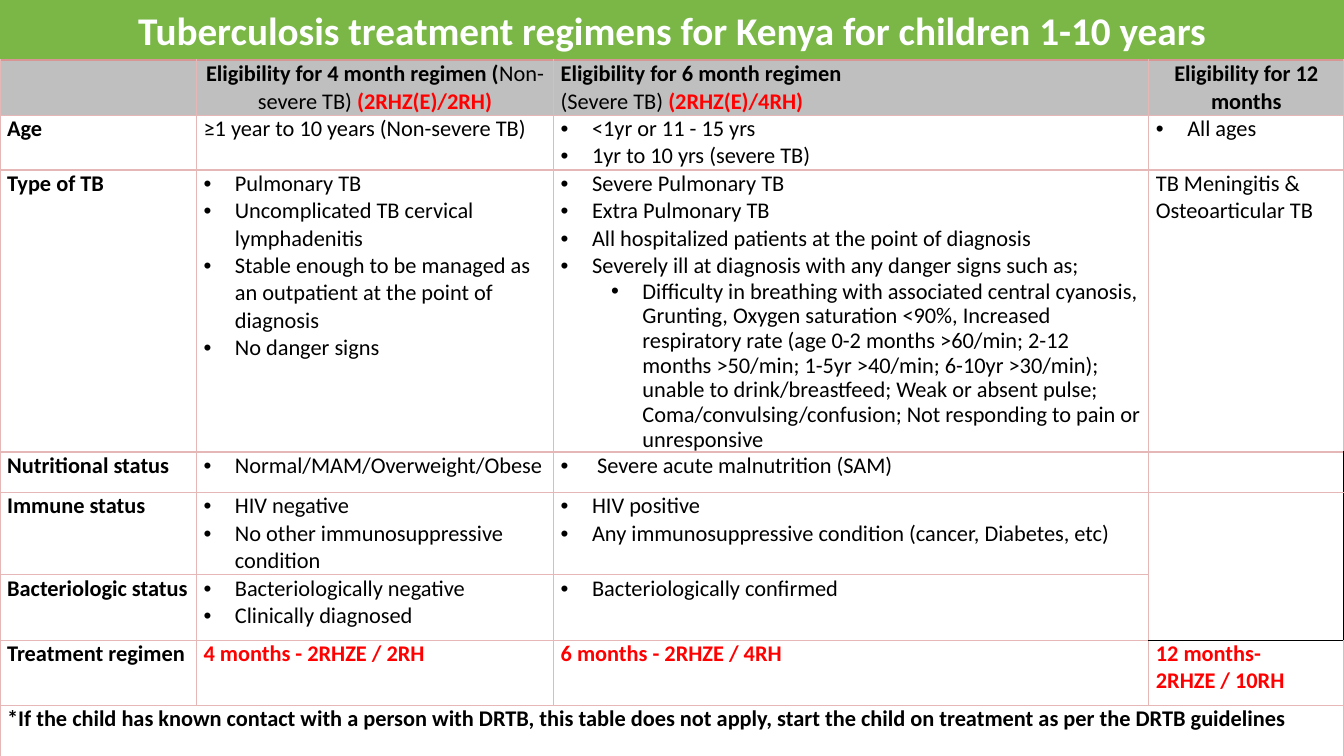
from dataclasses import dataclass

from lxml.etree import SubElement
from pptx import Presentation
from pptx.dml.color import RGBColor
from pptx.enum.text import MSO_ANCHOR as Anchor, PP_ALIGN as Align
from pptx.oxml.ns import qn
from pptx.util import Cm, Pt

FONT = "Calibri"
BLACK = RGBColor(0x00, 0x00, 0x00)
WHITE = RGBColor(0xFF, 0xFF, 0xFF)
RED = RGBColor(0xFF, 0x00, 0x00)
GREEN = RGBColor(0x7A, 0xB7, 0x46)
GREY = RGBColor(0xBF, 0xBF, 0xBF)
PINK = RGBColor(0xE5, 0xB8, 0xB7)
ROSE = RGBColor(0xD9, 0x95, 0x94)

SLIDE_W, SLIDE_H = Cm(33.87), Cm(19.05)
TITLE_H = Cm(1.52)
COL_WIDTHS = [4.95, 9, 15, 4.92]
ROW_HEIGHTS = [1.35, 1.35, 6.86, 1.02, 2.01, 1.65, 1.65, 1.65]
LAST_COL, NOTE_ROW = 3, 7
MERGED_ROWS = (4, 5)


@dataclass
class Run:
    text: str
    bold: bool = False
    color: RGBColor = BLACK


@dataclass
class Para:
    runs: list[Run]
    align: Align = Align.LEFT
    bullet_level: int | None = None


@dataclass
class Border:
    color: RGBColor = PINK
    width: float = 1


def plain(text: str) -> list[Para]:
    return [Para([Run(text)])]


def bold(text: str, color: RGBColor = BLACK) -> list[Para]:
    return [Para([Run(text, True, color)])]


def bullets(*texts: str, level: int = 0) -> list[Para]:
    return [Para([Run(text)], bullet_level=level) for text in texts]


ROWS: list[list[list[Para]]] = [
    [
        [],
        [Para([Run("Eligibility for 4 month regimen (", True), Run("Non-severe TB) "),
               Run("(2RHZ(E)/2RH)", True, RED)], Align.CENTER)],
        bold("Eligibility for 6 month regimen")
        + [Para([Run("(Severe TB) "), Run("(2RHZ(E)/4RH)", True, RED)])],
        [Para([Run("Eligibility for 12 months", True)], Align.CENTER)],
    ],
    [
        bold("Age"),
        plain("≥1 year to 10 years (Non-severe TB)"),
        bullets("<1yr or 11 - 15 yrs", "1yr to 10 yrs (severe TB)"),
        bullets("All ages"),
    ],
    [
        bold("Type of TB"),
        bullets("Pulmonary TB", "Uncomplicated TB cervical lymphadenitis",
                "Stable enough to be managed as an outpatient at the point of diagnosis",
                "No danger signs"),
        bullets("Severe Pulmonary TB", "Extra Pulmonary TB",
                "All hospitalized patients at the point of diagnosis",
                "Severely ill at diagnosis with any danger signs such as;")
        + bullets("Difficulty in breathing with associated central cyanosis, Grunting, "
                  "Oxygen saturation <90%, Increased respiratory rate (age 0-2 months "
                  ">60/min; 2-12 months >50/min; 1-5yr >40/min; 6-10yr >30/min); unable "
                  "to drink/breastfeed; Weak or absent pulse; Coma/convulsing/confusion; "
                  "Not responding to pain or unresponsive", level=1),
        plain("TB Meningitis & Osteoarticular TB"),
    ],
    [
        bold("Nutritional status"),
        bullets("Normal/MAM/Overweight/Obese"),
        bullets(" Severe acute malnutrition (SAM)"),
        [],
    ],
    [
        bold("Immune status"),
        bullets("HIV negative", "No other immunosuppressive condition"),
        bullets("HIV positive", "Any immunosuppressive condition (cancer, Diabetes, etc)"),
        [],
    ],
    [
        bold("Bacteriologic status"),
        bullets("Bacteriologically negative", "Clinically diagnosed"),
        bullets("Bacteriologically confirmed"),
        [],
    ],
    [
        bold("Treatment regimen"),
        bold("4 months - 2RHZE / 2RH", RED),
        bold("6 months - 2RHZE / 4RH", RED),
        bold("12 months- 2RHZE / 10RH", RED),
    ],
    [
        bold("*If the child has known contact with a person with DRTB, this table does not "
             "apply, start the child on treatment as per the DRTB guidelines"),
        [], [], [],
    ],
]


def add_bullet(p, level: int) -> None:
    pPr = p._p.get_or_add_pPr()
    pPr.set("marL", str(Cm(0.79 + 1.27 * level)))
    pPr.set("indent", str(-Cm(0.79)))
    color = SubElement(pPr, qn("a:buClr"))
    SubElement(color, qn("a:srgbClr"), val=str(BLACK))
    SubElement(pPr, qn("a:buFont"), typeface="Arial")
    SubElement(pPr, qn("a:buChar"), char="•")
    if level:
        p.level = level
        p.line_spacing = 0.9


def write_paragraphs(tf, paras: list[Para]) -> None:
    for i, para in enumerate(paras):
        p = tf.add_paragraph() if i else tf.paragraphs[0]
        p.alignment = para.align
        if para.bullet_level is not None:
            add_bullet(p, para.bullet_level)
        for run in para.runs:
            r = p.add_run()
            r.text = run.text
            r.font.name, r.font.size = FONT, Pt(16)
            r.font.bold = run.bold
            r.font.color.rgb = run.color


def set_borders(cell, row: int, col: int) -> None:
    borders = {side: Border() for side in "LRTB"}
    if row == 0:
        borders["T"] = Border(ROSE, 1.5)
    if col == LAST_COL:
        if row in (3, *MERGED_ROWS):
            borders["R"] = Border(BLACK)
        if row in MERGED_ROWS:
            borders["B"] = Border(BLACK)
        if row == MERGED_ROWS[-1] + 1:
            borders["T"] = Border(BLACK)
    tcPr = cell._tc.get_or_add_tcPr()
    for side, border in borders.items():
        ln = SubElement(tcPr, qn(f"a:ln{side}"), w=str(Pt(border.width)))
        fill = SubElement(ln, qn("a:solidFill"))
        SubElement(fill, qn("a:srgbClr"), val=str(border.color))


def add_title(s) -> None:
    title = s.shapes.title
    title.left, title.top, title.width, title.height = 0, 0, SLIDE_W, TITLE_H
    title.fill.solid()
    title.fill.fore_color.rgb = GREEN
    tf = title.text_frame
    tf.text = "Tuberculosis treatment regimens for Kenya for children 1-10 years"
    tf.vertical_anchor = Anchor.MIDDLE
    p = tf.paragraphs[0]
    p.alignment = Align.CENTER
    font = p.runs[0].font
    font.name, font.size, font.bold = FONT, Pt(28), True
    font.color.rgb = WHITE


def add_regimen_table(s) -> None:
    table = s.shapes.add_table(len(ROWS), len(COL_WIDTHS), 0, TITLE_H, SLIDE_W,
                               Cm(sum(ROW_HEIGHTS))).table
    table.first_row = table.horz_banding = False
    for column, width in zip(table.columns, COL_WIDTHS):
        column.width = Cm(width)
    for table_row, height in zip(table.rows, ROW_HEIGHTS):
        table_row.height = Cm(height)
    first, last = MERGED_ROWS
    table.cell(first, LAST_COL).merge(table.cell(last, LAST_COL))
    table.cell(NOTE_ROW, 0).merge(table.cell(NOTE_ROW, LAST_COL))
    for row, cells in enumerate(ROWS):
        for col, paras in enumerate(cells):
            cell = table.cell(row, col)
            cell.margin_left = cell.margin_right = Cm(0.18)
            cell.margin_top = cell.margin_bottom = 0
            set_borders(cell, row, col)
            cell.fill.solid()
            cell.fill.fore_color.rgb = WHITE if row else GREY
            write_paragraphs(cell.text_frame, paras)


def main() -> None:
    prs = Presentation()
    prs.slide_width, prs.slide_height = SLIDE_W, SLIDE_H
    s = prs.slides.add_slide(prs.slide_layouts[5])
    add_title(s)
    add_regimen_table(s)
    prs.save("out.pptx")


if __name__ == "__main__":
    main()
